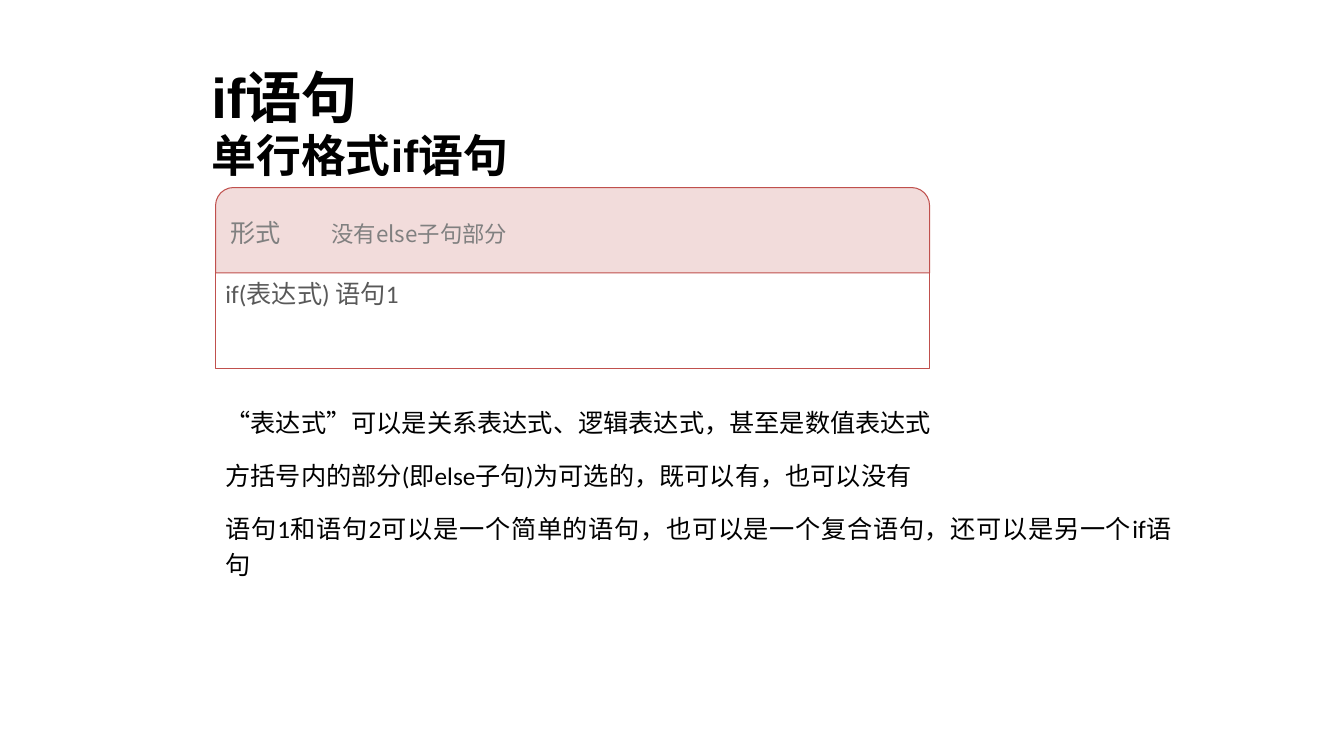
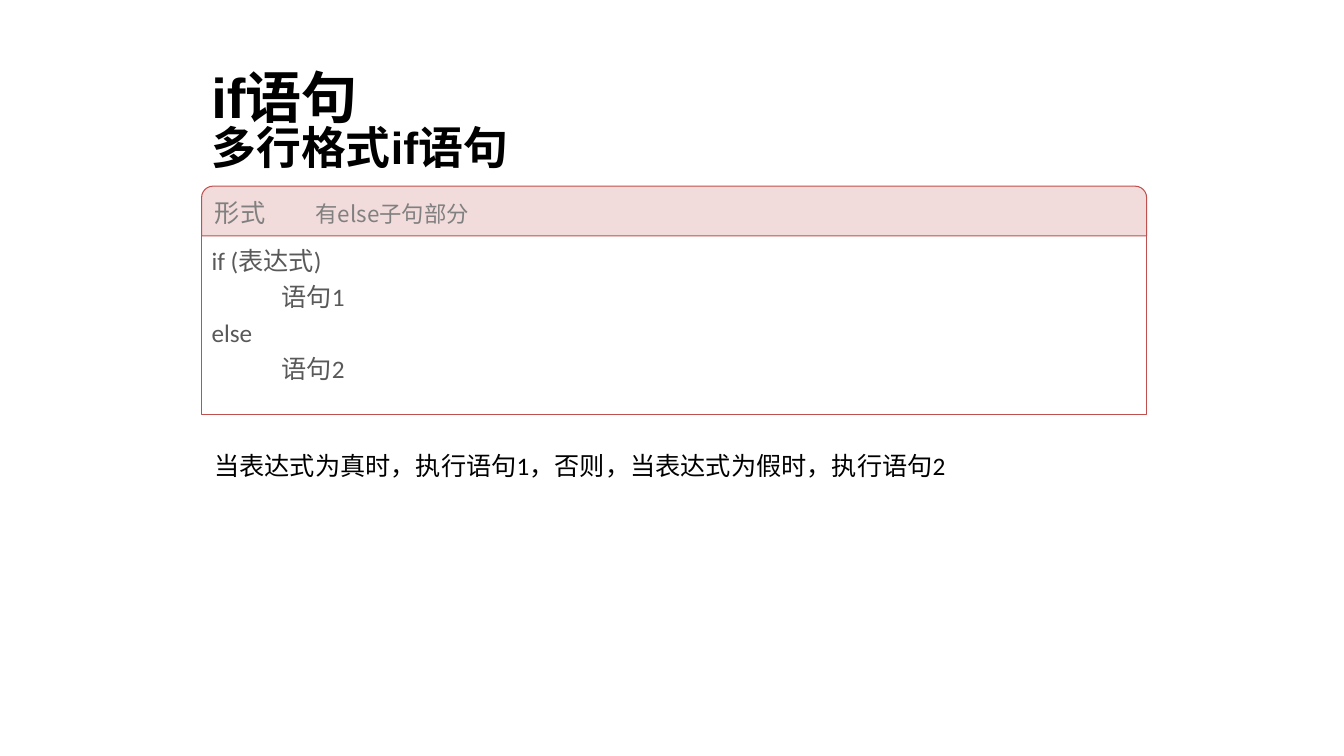
from lxml.etree import SubElement
from pptx import Presentation
from pptx.dml.color import RGBColor
from pptx.enum.shapes import MSO_SHAPE
from pptx.enum.text import MSO_ANCHOR, PP_ALIGN
from pptx.oxml.ns import qn
from pptx.util import Pt

COLORS = {
    "ink": "000000",
    "code": "595959",
    "label": "808080",
    "border": "C0504D",
    "band": "F2DCDB",
    "paper": "FFFFFF",
}
CJK = "Noto Sans CJK SC"
LEFT = 144
CODE_INDENT = 50


def rgb(name):
    return RGBColor.from_string(COLORS[name])


def style_run(r, size, color, font="Calibri", bold=False):
    r.font.size = Pt(size)
    r.font.bold = bold
    r.font.name = font
    r.font.color.rgb = rgb(color)
    SubElement(r._r.get_or_add_rPr(), qn("a:ea"), typeface=CJK)


def justify(p):
    p.alignment = PP_ALIGN.JUSTIFY
    p.line_spacing = 1.2


def add_text(s, x, y, w, h, lines, size, **style):
    tb = s.shapes.add_textbox(Pt(x), Pt(y), Pt(w), Pt(h))
    tf = tb.text_frame
    tf.word_wrap = True
    tf.text = "\n".join(lines)
    for p in tf.paragraphs:
        for r in p.runs:
            style_run(r, size, "ink", **style)
    return tf


def add_headings(s, subtitle, subtitle_top):
    add_text(s, LEFT, 41, 753, 104, ["if语句"], 40, font="Arial", bold=True)
    add_text(s, LEFT, subtitle_top, 686, 46, [subtitle], 32,
             font="Arial", bold=True)


def add_box(s, kind, x, y, w, h, fill):
    sp = s.shapes.add_shape(kind, Pt(x), Pt(y), Pt(w), Pt(h))
    sp.shadow.inherit = False
    sp.fill.solid()
    sp.fill.fore_color.rgb = rgb(fill)
    sp.line.color.rgb = rgb("border")
    sp.line.width = Pt(0.75)
    sp.text_frame.word_wrap = True
    return sp


def add_code(s, x, y, w, h, lines):
    """Framed code; each line is (indent level, text)."""
    tf = add_box(s, MSO_SHAPE.RECTANGLE, x, y, w, h, "paper").text_frame
    tf.vertical_anchor = MSO_ANCHOR.TOP
    tf.margin_left = tf.margin_right = Pt(7.2)
    tf.margin_top = tf.margin_bottom = Pt(7.2)
    tf.text = "\n".join(text for _, text in lines)
    for p, (level, _) in zip(tf.paragraphs, lines):
        justify(p)
        p._p.get_or_add_pPr().set("marL", str(Pt(level * CODE_INDENT)))
        style_run(p.runs[0], 18, "code")


def add_band(s, x, y, w, h, radius, label):
    sp = add_box(s, MSO_SHAPE.ROUND_2_SAME_RECTANGLE, x, y, w, h, "band")
    sp.adjustments[0] = radius
    sp.adjustments[1] = 0
    tf = sp.text_frame
    tf.vertical_anchor = MSO_ANCHOR.MIDDLE
    p = tf.paragraphs[0]
    p.alignment = PP_ALIGN.LEFT
    for text, size in (("形式\t", 18), (label, 16)):
        r = p.add_run()
        r.text = text
        style_run(r, size, "label", font=CJK)


def add_single_line_slide(s):
    x, w = 154, 510
    add_headings(s, "单行格式if语句", 88)
    add_code(s, x, 187, w, 76, [(0, "if(表达式) 语句1")])
    add_band(s, x, 134, w, 61, 0.21, "没有else子句部分")
    tf = add_text(s, x, 283, 690, 110, [
        "“表达式”可以是关系表达式、逻辑表达式，甚至是数值表达式",
        "方括号内的部分(即else子句)为可选的，既可以有，也可以没有",
        "语句1和语句2可以是一个简单的语句，也可以是一个复合语句，还可以是另一个if语句",
    ], 18)
    for i, p in enumerate(tf.paragraphs):
        justify(p)
        p.space_before = Pt(6 if i else 0)
        p.space_after = Pt(6)


def add_multi_line_slide(s):
    w = 675
    add_headings(s, "多行格式if语句", 82)
    add_code(s, LEFT, 163.5, w, 132.5, [
        (0, "if (表达式)"),
        (1, "语句1"),
        (0, "else"),
        (1, "语句2"),
    ])
    add_band(s, LEFT, 133, w, 35.5, 0.23, "有else子句部分")
    add_text(s, 146, 318, 572, 29,
             ["当表达式为真时，执行语句1，否则，当表达式为假时，执行语句2"], 18)


def main():
    prs = Presentation()
    prs.slide_width, prs.slide_height = Pt(960), Pt(540)
    for build in (add_single_line_slide, add_multi_line_slide):
        build(prs.slides.add_slide(prs.slide_layouts[6]))
    prs.save("out.pptx")


if __name__ == "__main__":
    main()
